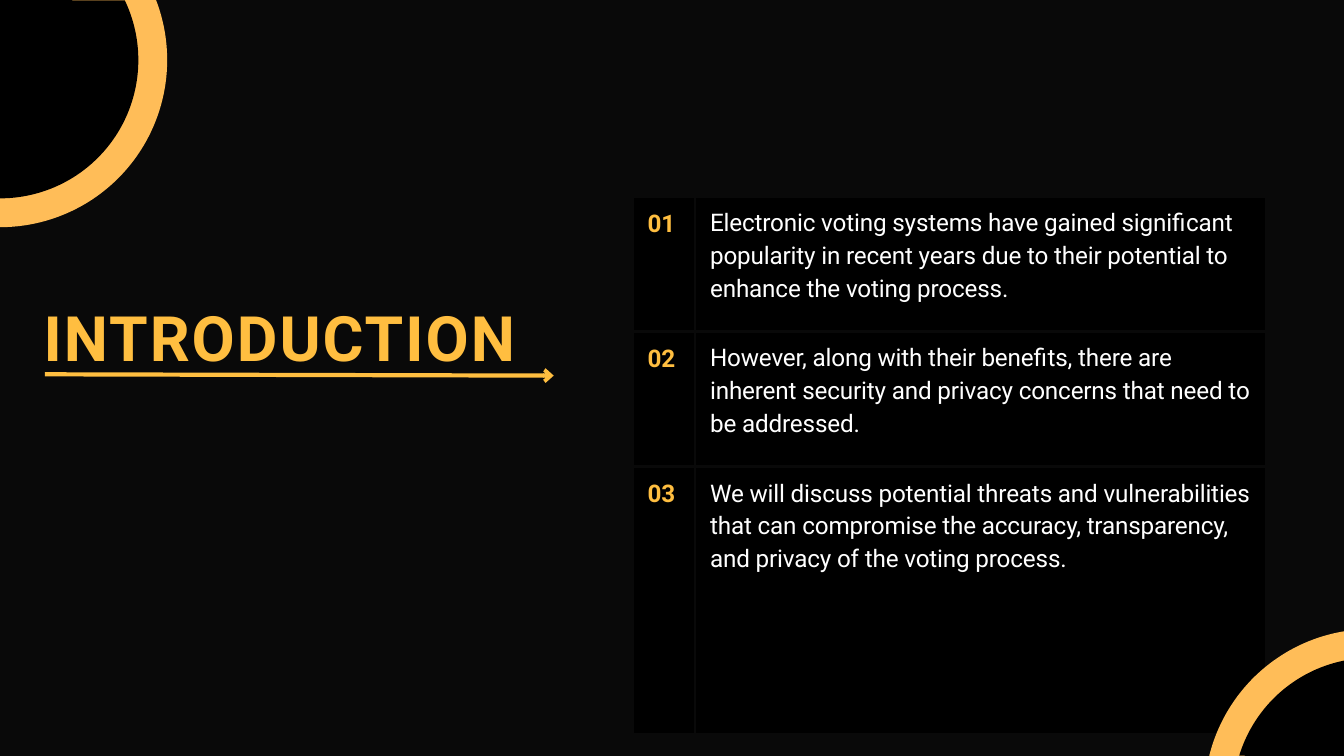
from dataclasses import dataclass
from math import cos, radians, sin

from lxml.etree import SubElement
from pptx import Presentation
from pptx.dml.color import RGBColor
from pptx.enum.shapes import MSO_CONNECTOR
from pptx.oxml.ns import qn
from pptx.util import Cm, Pt


@dataclass(frozen=True)
class Theme:
    back: RGBColor = RGBColor(0x09, 0x09, 0x09)
    panel: RGBColor = RGBColor(0, 0, 0)
    gold: RGBColor = RGBColor(0xFF, 0xBE, 0x40)
    ring: RGBColor = RGBColor(0xFF, 0xBD, 0x58)
    white: RGBColor = RGBColor(0xFF, 0xFF, 0xFF)
    font: str = "Roboto"
    head: int = 67
    body: int = 26
    rule: float = 4.5
    edge: int = 3


THEME = Theme()
WIDE, HIGH = 50.8, 28.58

POINTS = [
    "Electronic voting systems have gained significant popularity in recent "
    "years due to their potential to enhance the voting process.",
    "However, along with their benefits, there are inherent security and "
    "privacy concerns that need to be addressed.",
    "We will discuss potential threats and vulnerabilities that can compromise "
    "the accuracy, transparency, and privacy of the voting process.",
]


def style(frame, size, color, bold=False, space=0):
    """Format every run; space is the letter gap in points."""
    for para in frame.paragraphs:
        for run in para.runs:
            font = run.font
            font.name, font.size, font.bold = THEME.font, Pt(size), bold
            font.color.rgb = color
            run._r.get_or_add_rPr().set("spc", str(round(space * 100)))


def add_title(slide, x, y, w, h):
    # Heading
    frame = slide.shapes.add_textbox(Cm(x), Cm(y), Cm(w), Cm(h)).text_frame
    frame.word_wrap = True
    frame.margin_left = frame.margin_right = frame.margin_bottom = 0
    frame.margin_top = Cm(0.15)
    frame.text = "INTRODUCTION"
    style(frame, THEME.head, THEME.gold, True, 2.2)

    # Arrow under the heading
    line = slide.shapes.add_connector(
        MSO_CONNECTOR.STRAIGHT,
        Cm(x + 0.05), Cm(y + 3), Cm(x + 19.28), Cm(y + 3.05))
    line.line.color.rgb = THEME.gold
    line.line.width = Pt(THEME.rule)
    SubElement(line.line._get_or_add_ln(), qn("a:tailEnd"),
               type="arrow", w="med", len="sm")
    SubElement(line._element.spPr, qn("a:effectLst"))


def fill_cell(cell, text, top, color, bold, space):
    # Borders come before the fill in the cell's XML
    props = cell._tc.get_or_add_tcPr()
    for side in "LRTB":
        edge = SubElement(props, qn(f"a:ln{side}"), w=str(Pt(THEME.edge)))
        fill = SubElement(edge, qn("a:solidFill"))
        SubElement(fill, qn("a:srgbClr"), val=str(THEME.back))
    cell.fill.solid()
    cell.fill.fore_color.rgb = THEME.panel

    cell.margin_left, cell.margin_top = Cm(0.58), Cm(top)
    cell.margin_right, cell.margin_bottom = Cm(0 if bold else 0.5), 0
    cell.text_frame.text = text
    style(cell.text_frame, THEME.body, color, bold, space)


def add_points(slide, x, y, w, h):
    # Numbered table; the last row is twice as tall
    table = slide.shapes.add_table(
        len(POINTS), 2, Cm(x), Cm(y), Cm(w), Cm(h)).table
    table.first_row = table.horz_banding = False
    table.columns[0].width = Cm(2.36)
    table.columns[1].width = Cm(w - 2.36)
    short = 5.11
    sizes = [short, short, h - 2 * short]
    for i, (text, size) in enumerate(zip(POINTS, sizes)):
        table.rows[i].height = Cm(size)
        fill_cell(table.cell(i, 0), f"{i + 1:02}", 0.51, THEME.gold, True, -0.1)
        cell = table.cell(i, 1)
        fill_cell(cell, text, 0.33, THEME.white, False, -0.2)
        cell.text_frame.paragraphs[0].line_spacing = 1.15


def add_ring(slide, mid, corner):
    """Gold ring round a black disc, cut off at a slide corner."""
    for size, color in ((6.32, THEME.ring), (5.23, THEME.panel)):
        turns = [radians(step / 2) for step in range(-360, 360)]
        arc = [(mid[0] + size * cos(t), mid[1] + size * sin(t)) for t in turns]
        seen = [(Cm(x), Cm(y)) for x, y in arc
                if 0 <= x <= WIDE and 0 <= y <= HIGH]
        path = slide.shapes.build_freeform(Cm(corner[0]), Cm(corner[1]))
        path.add_line_segments(seen, close=True)
        disc = path.convert_to_shape()
        disc.shadow.inherit = False
        disc.fill.solid()
        disc.fill.fore_color.rgb = color
        disc.line.fill.background()


def main():
    deck = Presentation()
    deck.slide_width, deck.slide_height = Cm(WIDE), Cm(HIGH)
    slide = deck.slides.add_slide(deck.slide_layouts[6])
    slide.background.fill.solid()
    slide.background.fill.fore_color.rgb = THEME.back

    add_title(slide, 1.65, 11.15, 17.9, 2.9)
    add_points(slide, 23.9, 7.42, 23.95, 20.32)
    add_ring(slide, (0, 2.27), (0, 0))
    add_ring(slide, (51.84, 30.1), (WIDE, HIGH))
    deck.save("out.pptx")


if __name__ == "__main__":
    main()
